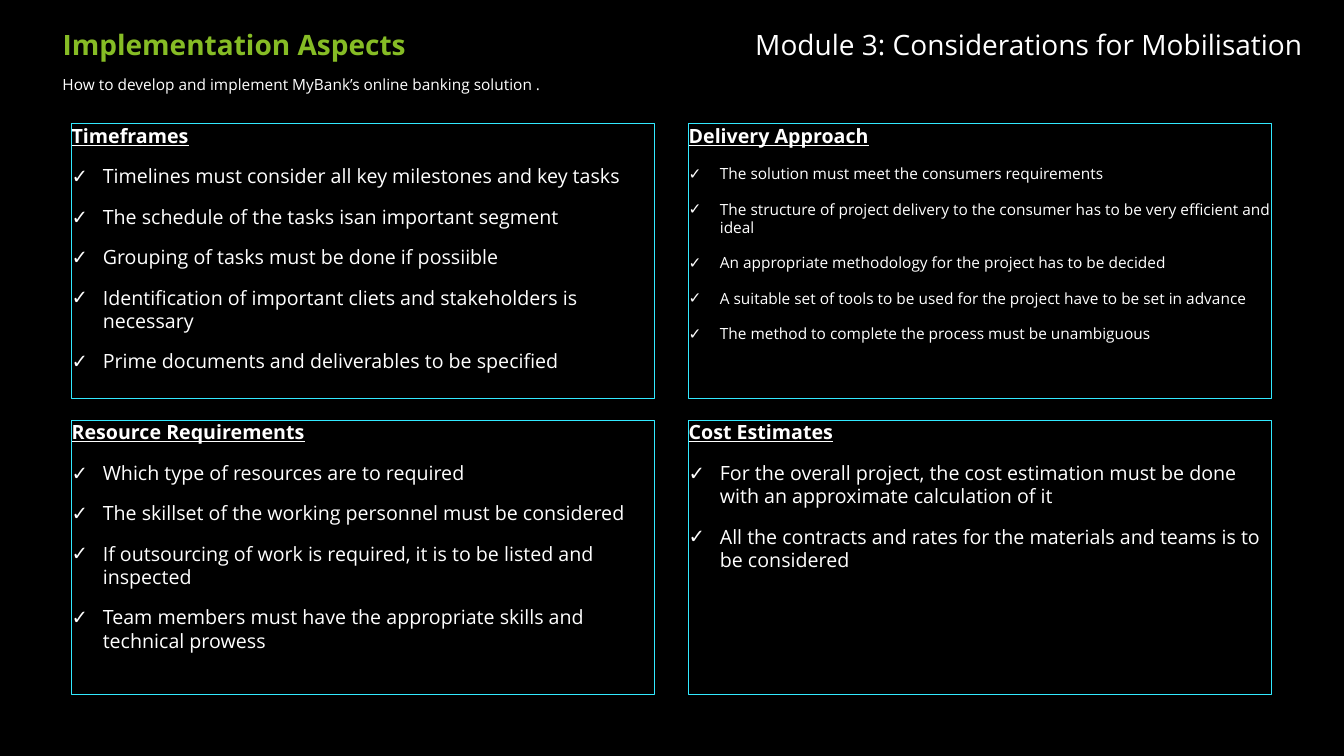
from lxml import etree
from pptx import Presentation
from pptx.dml.color import RGBColor
from pptx.enum import shapes, text
from pptx.oxml import ns
from pptx.util import Inches, Pt

BLACK = RGBColor(0x00, 0x00, 0x00)
WHITE = RGBColor(0xFF, 0xFF, 0xFF)
GREEN = RGBColor(0x86, 0xBC, 0x25)
CYAN = RGBColor(0x32, 0xE9, 0xFF)
FONT = "Open Sans"

PANELS = [
    ("Timeframes", 14, [
        "Timelines must consider all key milestones and key tasks",
        "The schedule of the tasks isan important segment",
        "Grouping of tasks must be done if possiible",
        "Identification of important cliets and stakeholders is necessary",
        "Prime documents and deliverables to be specified",
    ]),
    ("Delivery Approach", 11, [
        "The solution must meet the consumers requirements",
        "The structure of project delivery to the consumer has to be very efficient and ideal",
        "An appropriate methodology for the project has to be decided",
        "A suitable set of tools to be used for the project have to be set in advance",
        "The method to complete the process must be unambiguous",
    ]),
    ("Resource Requirements", 14, [
        "Which type of resources are to required",
        "The skillset of the working personnel must be considered",
        "If outsourcing of work is required, it is to be listed and inspected",
        "Team members must have the appropriate skills and technical prowess",
    ]),
    ("Cost Estimates", 14, [
        "For the overall project, the cost estimation must be done with an approximate calculation of it",
        "All the contracts and rates for the materials and teams is to be considered",
    ]),
]


def apply(target, values):
    for name, value in values.items():
        setattr(target, name, value)


def prepare_frame(frame, anchor=text.MSO_ANCHOR.TOP):
    apply(frame, dict(margin_left=0, margin_right=0, margin_top=0, margin_bottom=0,
                      word_wrap=True, vertical_anchor=anchor))


def write(para, words, size, color=WHITE, bold=False, underline=False):
    span = para.add_run()
    span.text = words
    apply(span.font, dict(name=FONT, size=Pt(size), bold=bold, underline=underline))
    span.font.color.rgb = color


def add_check(para):
    props = para._p.get_or_add_pPr()
    props.set("marL", str(Inches(0.31)))
    props.set("indent", str(Inches(-0.31)))
    etree.SubElement(props, ns.qn("a:buFont"), typeface=FONT)
    etree.SubElement(props, ns.qn("a:buChar"), char="✓")


def add_label(page, left, top, width, height, words, size,
              align=text.PP_ALIGN.LEFT, anchor=text.MSO_ANCHOR.TOP, **style):
    box = page.shapes.add_textbox(*map(Inches, (left, top, width, height)))
    prepare_frame(box.text_frame, anchor)
    para = box.text_frame.paragraphs[0]
    para.alignment = align
    write(para, words, size, **style)


def add_header(page, left, top, width):
    middle = text.MSO_ANCHOR.MIDDLE
    add_label(page, left, top, width / 2, 0.3, "Implementation Aspects", 20,
              anchor=middle, color=GREEN, bold=True)
    add_label(page, left + width / 2, top, width / 2, 0.3,
              "Module 3: Considerations for Mobilisation", 20,
              align=text.PP_ALIGN.RIGHT, anchor=middle)
    add_label(page, left, top + 0.46, width, 0.44,
              "How to develop and implement MyBank’s online banking solution .", 11)


def add_panel(page, left, top, width, height, heading, size, points):
    box = page.shapes.add_shape(shapes.MSO_SHAPE.RECTANGLE,
                                *map(Inches, (left, top, width, height)))
    box.shadow.inherit = False
    box.fill.background()
    box.line.color.rgb = CYAN
    box.line.width = Pt(0.75)
    frame = box.text_frame
    prepare_frame(frame)
    for index, words in enumerate([heading] + points):
        para = frame.add_paragraph() if index else frame.paragraphs[0]
        apply(para, dict(alignment=text.PP_ALIGN.LEFT,
                         space_before=Pt(6), space_after=Pt(6)))
        if index:
            add_check(para)
            write(para, words, size)
        else:
            write(para, words, 14, bold=True, underline=True)


def add_panel_grid(page, left, top, width, height, gap_x, gap_y):
    for index, panel in enumerate(PANELS):
        row, column = divmod(index, 2)
        add_panel(page, left + column * (width + gap_x), top + row * (height + gap_y),
                  width, height, *panel)


def main():
    deck = Presentation()
    deck.slide_width, deck.slide_height = Inches(13.33), Inches(7.5)
    page = deck.slides.add_slide(deck.slide_layouts[6])
    page.background.fill.solid()
    page.background.fill.fore_color.rgb = BLACK
    add_header(page, 0.62, 0.29, 12.3)
    add_panel_grid(page, 0.71, 1.23, 5.78, 2.72, 0.34, 0.22)
    deck.save("out.pptx")


if __name__ == "__main__":
    main()
